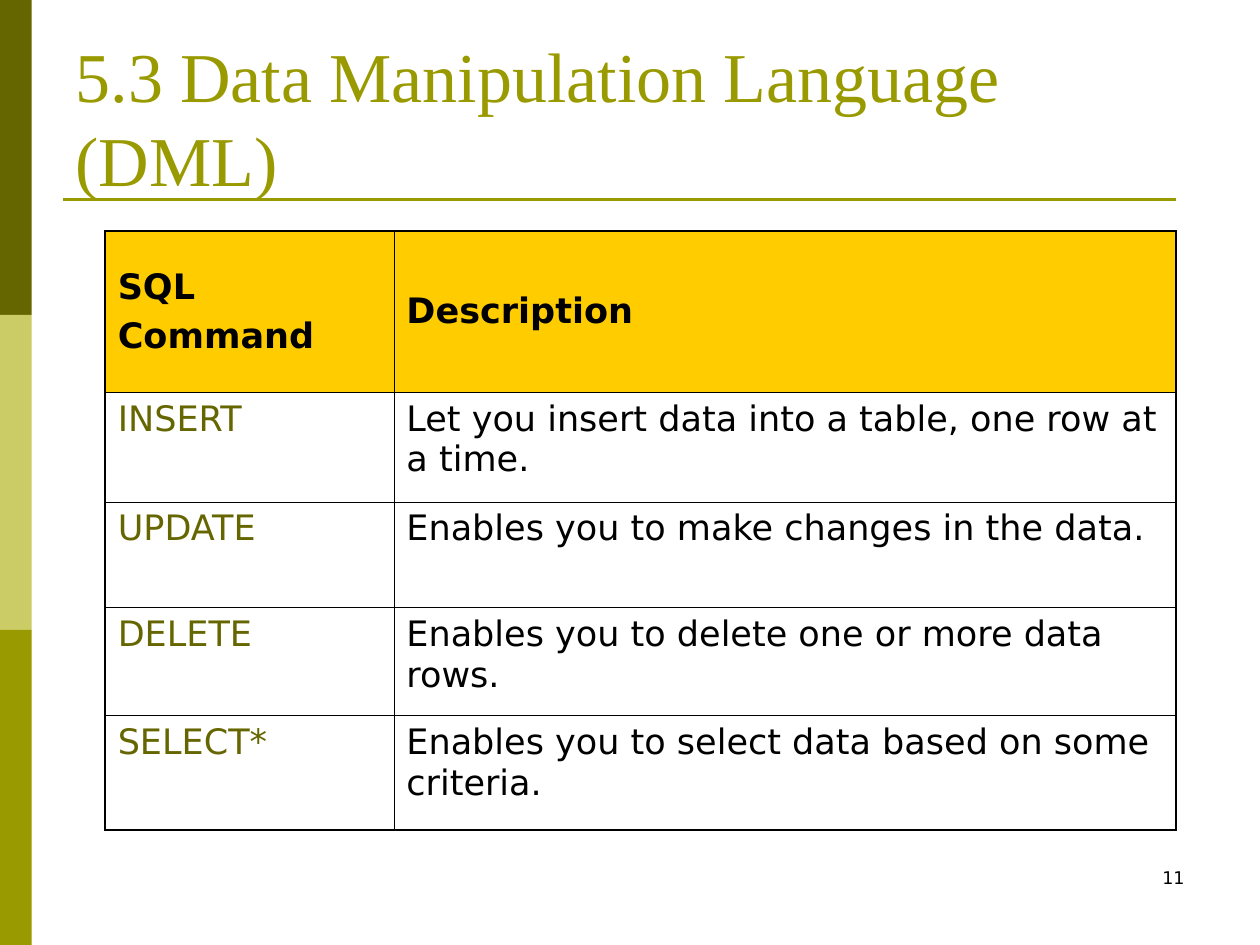
from lxml.etree import SubElement
from pptx import Presentation
from pptx.dml.color import RGBColor
from pptx.enum.shapes import MSO_CONNECTOR, MSO_SHAPE
from pptx.enum.text import MSO_ANCHOR, PP_ALIGN
from pptx.oxml.ns import qn
from pptx.util import Cm, Pt

COLORS = {
    "dark": "666600",
    "light": "CCCC66",
    "olive": "999900",
    "header": "FFCC00",
    "black": "000000",
}
TITLE_FONT = "Times New Roman"
BODY_FONT = "DejaVu Sans"
OUTER, INNER = Pt(1.08), Pt(0.45)
COL_WIDTHS = [5.82, 15.77]
ROW_HEIGHTS = [3.25, 2.21, 2.13, 2.18, 2.3]
ROWS = [
    ("SQL\nCommand", "Description"),
    ("INSERT", "Let you insert data into a table, one row at a time."),
    ("UPDATE", "Enables you to make changes in the data."),
    ("DELETE", "Enables you to delete one or more data rows."),
    ("SELECT*", "Enables you to select data based on some criteria."),
]


def color(name):
    return RGBColor.from_string(COLORS[name])


def set_font(p, name, size, color_name, bold=False):
    p.font.name = name
    p.font.size = Pt(size)
    p.font.bold = bold
    p.font.color.rgb = color(color_name)


def add_side_bars(s, height):
    bar_h = height // 3
    for i, name in enumerate(["dark", "light", "olive"]):
        sp = s.shapes.add_shape(MSO_SHAPE.RECTANGLE, 0, i * bar_h, Cm(0.64), bar_h)
        sp.shadow.inherit = False
        sp.fill.solid()
        sp.fill.fore_color.rgb = color(name)
        sp.line.fill.background()


def add_rule(s):
    y = Cm(4.02)
    line = s.shapes.add_connector(MSO_CONNECTOR.STRAIGHT, Cm(1.27), y, Cm(23.71), y)
    line.line.color.rgb = color("olive")
    line.line.width = Pt(1.5)
    SubElement(line._element.spPr, qn("a:effectLst"))


def set_title(s, text):
    sp = s.shapes.title
    sp.left, sp.top, sp.width, sp.height = Cm(1.27), Cm(0.76), Cm(22.86), Cm(3.18)
    tf = sp.text_frame
    tf.text = text
    tf.word_wrap = True
    tf.vertical_anchor = MSO_ANCHOR.MIDDLE
    p = tf.paragraphs[0]
    p.alignment = PP_ALIGN.LEFT
    set_font(p, TITLE_FONT, 40, "olive")


def set_borders(cell, widths):
    tcPr = cell._tc.get_or_add_tcPr()
    for side, width in widths.items():
        ln = SubElement(tcPr, qn(f"a:ln{side}"), w=str(width))
        fill = SubElement(ln, qn("a:solidFill"))
        SubElement(fill, qn("a:srgbClr"), val=COLORS["black"])


def fill_cell(cell, text, color_name, header):
    if header:
        cell.fill.solid()
        cell.fill.fore_color.rgb = color("header")
        cell.vertical_anchor = MSO_ANCHOR.MIDDLE
    else:
        cell.fill.background()
    cell.text_frame.text = text
    for i, p in enumerate(cell.text_frame.paragraphs):
        if i:
            p.space_before = Pt(5)
        set_font(p, BODY_FONT, 20, color_name, header)


def add_command_table(s):
    n_rows, n_cols = len(ROWS), len(COL_WIDTHS)
    frame = s.shapes.add_table(n_rows, n_cols, Cm(2.12), Cm(4.66),
                               Cm(sum(COL_WIDTHS)), Cm(sum(ROW_HEIGHTS)))
    table = frame.table
    table.first_row = table.horz_banding = False
    for column, width in zip(table.columns, COL_WIDTHS):
        column.width = Cm(width)
    for r, (row, height) in enumerate(zip(table.rows, ROW_HEIGHTS)):
        row.height = Cm(height)
        for c, cell in enumerate(row.cells):
            set_borders(cell, {
                "L": OUTER if c == 0 else INNER,
                "R": OUTER if c == n_cols - 1 else INNER,
                "T": OUTER if r == 0 else INNER,
                "B": OUTER if r == n_rows - 1 else INNER,
            })
            name = "dark" if r and c == 0 else "black"
            fill_cell(cell, ROWS[r][c], name, r == 0)


def add_page_number(s, number):
    tf = s.shapes.add_textbox(Cm(18.2), Cm(17.36), Cm(5.93), Cm(1.27)).text_frame
    tf.word_wrap = True
    tf.text = number
    p = tf.paragraphs[0]
    p.alignment = PP_ALIGN.RIGHT
    set_font(p, BODY_FONT, 10, "black")


def main():
    prs = Presentation()
    prs.slide_width, prs.slide_height = Cm(25.4), Cm(19.05)
    s = prs.slides.add_slide(prs.slide_layouts[5])
    add_side_bars(s, prs.slide_height)
    add_rule(s)
    set_title(s, "5.3 Data Manipulation Language (DML)")
    add_command_table(s)
    add_page_number(s, "11")
    prs.save("out.pptx")


if __name__ == "__main__":
    main()
